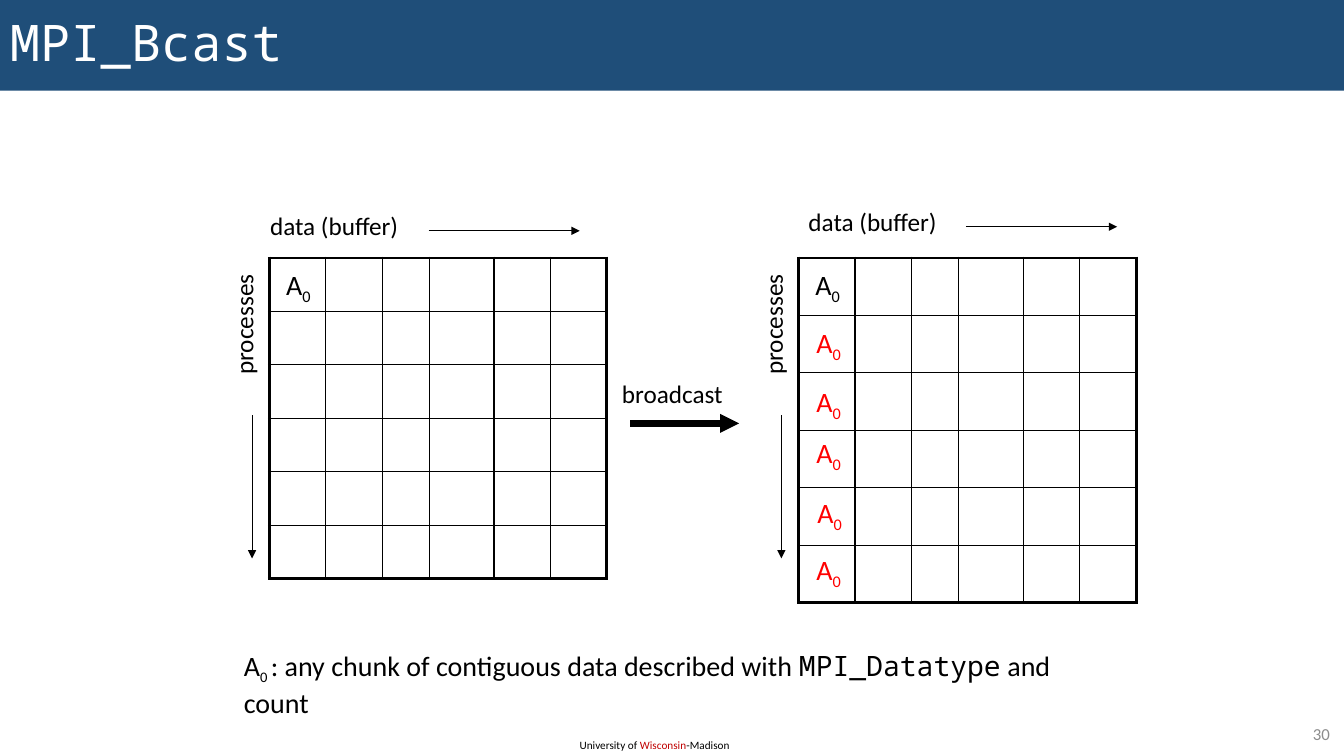
"""Build the MPI_Bcast slide with its before and after grids."""
import pptx
import pptx.util
import pptx.dml.color
import pptx.enum.shapes
import pptx.enum.text
import pptx.oxml
import pptx.oxml.ns
from pptx.util import Inches

THEME = {
    "sans": "Calibri", "mono": "Noto Sans Mono",
    "ink": "000000", "band": "1F4E79", "pale": "FFFFFF",
    "gray": "8C8C8C", "red": "FF0000", "brick": "C00000",
    "title": 36, "big": 20, "mid": 18, "page": 12, "foot": 8,
}
MID = {"size": "mid"}
SUB = {"base": "-25000"}
RED = {"color": "red"}

COLS = [0.56, 0.56, 0.47, 0.64, 0.56, 0.56]
COUNT = 6
GRIDS = [(2.67, 2.56, 0.53), (7.92, 2.56, 0.57)]
CHUNK = (0.46, 0.44)
CHUNKS = [(2.74, 2.6, {}), (7.99, 2.6, {}), (8, 3.18, RED), (8, 3.77, RED),
          (8, 4.27, RED), (8.01, 4.87, RED), (8, 5.43, RED)]
LABELS = [
    ((1.81, 3.01, 1.21, 0.4), [("processes", MID)], {"rotation": 270}),
    ((7.06, 3.01, 1.21, 0.4), [("processes", MID)], {"rotation": 270}),
    ((2.58, 2.04, 1.49, 0.4), [("data (buffer)", MID)], {}),
    ((7.92, 2, 1.49, 0.4), [("data (buffer)", MID)], {}),
    ((6.07, 3.7, 1.21, 0.4), [("broadcast", MID)], {}),
]
ARROWS = [
    ((2.5, 4.12, 2.5, 5.54), 0.75), ((7.75, 4.12, 7.75, 5.54), 0.75),
    ((4.25, 2.29, 5.75, 2.29), 0.75), ((9.58, 2.25, 11.08, 2.25), 0.75),
    ((6.25, 4.2, 7.33, 4.2), 4.5),
]
TITLE = [("MPI_Bcast", {"size": "title", "font": "mono", "color": "pale"})]
NOTE = [("A", {}), ("0 ", {**MID, **SUB}),
        (": any chunk of contiguous data described with ", {}),
        ("MPI_Datatype", {"font": "mono"}), (" and count", {})]
FOOT = [("University of ", {"size": "foot"}),
        ("Wisconsin", {"size": "foot", "color": "brick"}),
        ("-Madison", {"size": "foot"})]
PAGE = [("30", {"size": "page", "color": "gray"})]


def paint(name):
    return pptx.dml.color.RGBColor.from_string(THEME[name])


def set_all(thing, values):
    for name, value in values.items():
        setattr(thing, name, value)


def write(shape, runs, frame, align=pptx.enum.text.PP_ALIGN.LEFT, space=None):
    set_all(shape.text_frame, frame)
    line = shape.text_frame.paragraphs[0]
    set_all(line, {"alignment": align, "line_spacing": space})
    for text, style in runs:
        run = line.add_run()
        run.text = text
        set_all(run.font, {"name": THEME[style.get("font", "sans")],
                           "size": pptx.util.Pt(THEME[style.get("size", "big")])})
        run.font.color.rgb = paint(style.get("color", "ink"))
        if "base" in style:
            run.font._element.set("baseline", style["base"])


def add_text(slide, box, runs, look=None, wrap=False, **rest):
    shape = slide.shapes.add_textbox(*map(Inches, box))
    set_all(shape, look or {})
    frame = {"word_wrap": wrap, **rest.pop("frame", {})}
    write(shape, runs, frame, **rest)


def add_edge(cell, side, width):
    props = cell._tc.get_or_add_tcPr()
    props.append(pptx.oxml.parse_xml(
        f'<a:ln{side} {pptx.oxml.ns.nsdecls("a")} w="{pptx.util.Pt(width)}">'
        f'<a:solidFill><a:srgbClr val="{THEME["ink"]}"/></a:solidFill></a:ln{side}>'))


def add_grid(slide, left, top, step):
    size = map(Inches, (left, top, sum(COLS), step * COUNT))
    table = slide.shapes.add_table(COUNT, len(COLS), *size).table
    set_all(table, {"first_row": False, "horz_banding": False})
    for col, width in zip(table.columns, COLS):
        col.width = Inches(width)
    for y, row in enumerate(table.rows):
        row.height = Inches(step)
        for x, cell in enumerate(row.cells):
            rims = {"L": x == 0, "R": x == len(COLS) - 1,
                    "T": y == 0, "B": y == COUNT - 1}
            for side, rim in rims.items():
                add_edge(cell, side, 2.25 if rim else 1)
            cell.fill.background()


def add_arrow(slide, ends, width):
    kind = pptx.enum.shapes.MSO_CONNECTOR.STRAIGHT
    arrow = slide.shapes.add_connector(kind, *map(Inches, ends))
    arrow.line.width = pptx.util.Pt(width)
    arrow.line.color.rgb = paint("ink")
    names = pptx.oxml.ns.nsdecls("a")
    arrow.line._get_or_add_ln().append(
        pptx.oxml.parse_xml(f'<a:tailEnd {names} type="triangle"/>'))
    arrow._element.spPr.append(pptx.oxml.parse_xml(f"<a:effectLst {names}/>"))


def add_band(slide):
    kind = pptx.enum.shapes.MSO_SHAPE.RECTANGLE
    band = slide.shapes.add_shape(kind, 0, 0, Inches(13.33), Inches(0.9))
    band.shadow.inherit = False
    band.fill.solid()
    band.fill.fore_color.rgb = paint("band")
    band.line.fill.background()
    write(band, TITLE, MIDDLE, space=0.9)


MIDDLE = {"vertical_anchor": pptx.enum.text.MSO_ANCHOR.MIDDLE, "word_wrap": True}


def main():
    deck = pptx.Presentation()
    set_all(deck, {"slide_width": Inches(13.33), "slide_height": Inches(7.5)})
    slide = deck.slides.add_slide(deck.slide_layouts[6])
    add_text(slide, (5.65, 7.28, 1.72, 0.24), FOOT)
    add_band(slide)
    add_text(slide, (12.53, 7.13, 0.76, 0.29), PAGE, frame=MIDDLE,
             align=pptx.enum.text.PP_ALIGN.RIGHT)
    for grid in GRIDS:
        add_grid(slide, *grid)
    for box, runs, look in LABELS:
        add_text(slide, box, runs, look)
    for left, top, style in CHUNKS:
        add_text(slide, (left, top, *CHUNK), [("A", style), ("0", {**style, **SUB})])
    for ends, width in ARROWS:
        add_arrow(slide, ends, width)
    add_text(slide, (2.32, 6.38, 8.85, 0.44), NOTE, wrap=True)
    deck.save("out.pptx")


if __name__ == "__main__":
    main()
